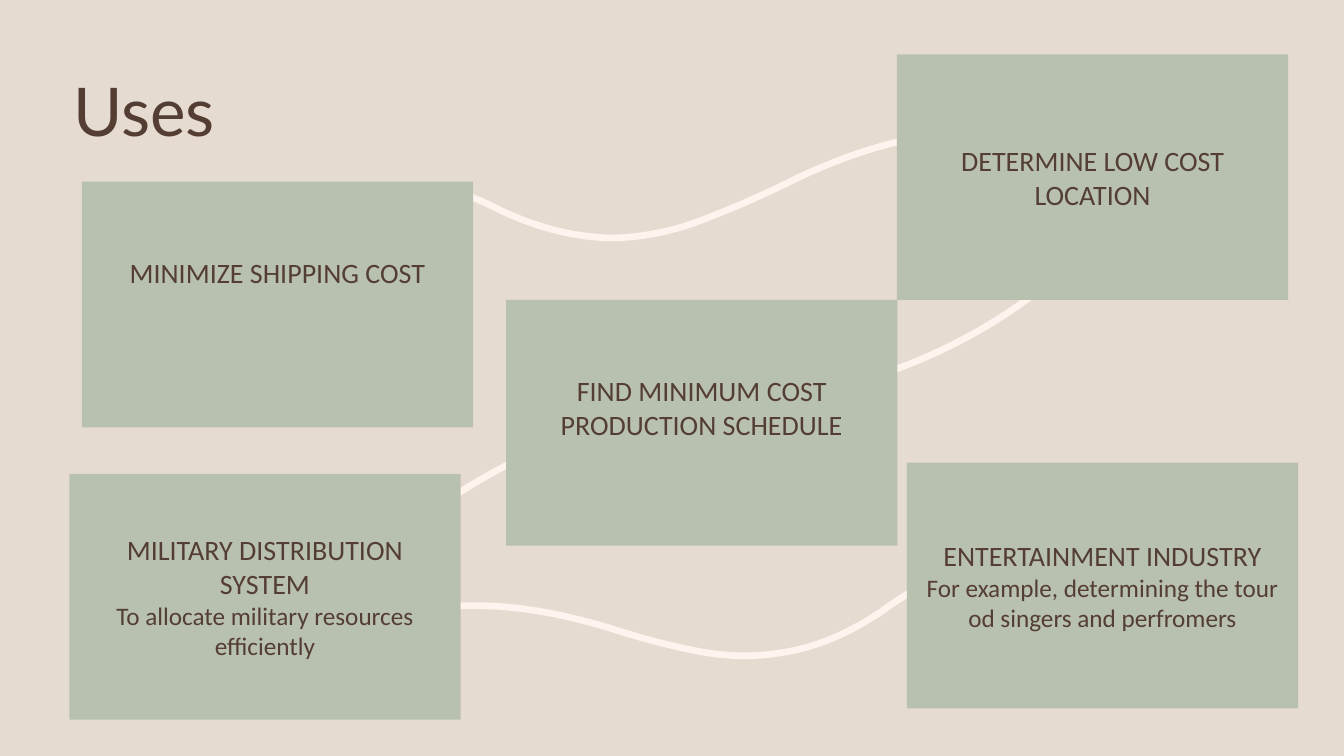
from pptx import Presentation
from pptx.dml.color import RGBColor
from pptx.enum import shapes, text
from pptx.util import Pt

SAND = RGBColor(0xE6, 0xDB, 0xD0)
SAGE = RGBColor(0xB8, 0xC0, 0xB0)
CREAM = RGBColor(0xFE, 0xF3, 0xED)
BROWN = RGBColor(0x54, 0x3E, 0x34)

TITLE = "Uses"
CARD_WIDTH, CARD_HEIGHT = 279.5, 175.5
USES = [
    {"left": 58.5, "top": 129.75, "heading": "MINIMIZE SHIPPING COST", "lift": 46},
    {"left": 640.75, "top": 38.75, "heading": "DETERMINE LOW COST LOCATION"},
    {"left": 361.5, "top": 214.25, "heading": "FIND MINIMUM COST PRODUCTION SCHEDULE", "lift": 22},
    {"left": 49.5, "top": 338.5, "heading": "MILITARY DISTRIBUTION SYSTEM",
     "detail": "To allocate military resources efficiently"},
    {"left": 647.75, "top": 330.5, "heading": "ENTERTAINMENT INDUSTRY",
     "detail": "For example, determining the tour od singers and perfromers"},
]
WAVES = [
    [(600, 276), (657.5, 261.5), (709, 235.5), (754, 198)],
    [(420.5, 308), (366.5, 325.5), (320.5, 353), (280, 388)],
    [(221, 160.5), (252, 134.5), (286.5, 127.5), (323.5, 137),
     (335.5, 139.5), (346.5, 144.5), (358, 150.5),
     (381.5, 161.5), (407, 169), (435, 170),
     (458.5, 170), (482.5, 165), (504.5, 156),
     (530.5, 146), (545, 139), (560, 132),
     (577, 123), (677, 74), (739.5, 105)],
    [(662.5, 417), (651, 422), (641.5, 428.5), (631.5, 435.5),
     (610.5, 450), (587, 461.5), (560, 466),
     (537, 470), (514, 469), (490.5, 463.5),
     (464.5, 458), (449.5, 453), (433.5, 448),
     (416, 443), (312.5, 410.5), (250, 458)],
]
STEPS = 16


def curve_points(controls):
    points = [controls[0]]
    for first in range(0, len(controls) - 1, 3):
        bend = controls[first:first + 4]
        for step in range(1, STEPS + 1):
            t = step / STEPS
            weights = ((1 - t) ** 3, 3 * t * (1 - t) ** 2, 3 * t * t * (1 - t), t ** 3)
            points.append(tuple(sum(w * p[axis] for w, p in zip(weights, bend))
                                for axis in (0, 1)))
    return [(Pt(x), Pt(y)) for x, y in points]


def write(shape, lines, font="Calibri", align=text.PP_ALIGN.CENTER, spacing=1.0, lift=0):
    frame = shape.text_frame
    frame.word_wrap = True
    frame.vertical_anchor = text.MSO_ANCHOR.MIDDLE
    frame.margin_left = frame.margin_right = Pt(7.2)
    frame.margin_top, frame.margin_bottom = Pt(3.6), Pt(3.6 + lift)
    for index, (words, size) in enumerate(lines):
        paragraph = frame.add_paragraph() if index else frame.paragraphs[0]
        paragraph.alignment = align
        paragraph.line_spacing = spacing
        run = paragraph.add_run()
        run.text = words
        run.font.name, run.font.size = font, Pt(size)
        run.font.color.rgb = BROWN


def main():
    deck = Presentation()
    deck.slide_width, deck.slide_height = Pt(960), Pt(540)
    slide = deck.slides.add_slide(deck.slide_layouts[6])
    slide.background.fill.solid()
    slide.background.fill.fore_color.rgb = SAND

    for controls in WAVES:
        start, *rest = curve_points(controls)
        builder = slide.shapes.build_freeform(*start)
        builder.add_line_segments(rest, close=False)
        wave = builder.convert_to_shape()
        wave.shadow.inherit = False
        wave.fill.background()
        wave.line.color.rgb = CREAM
        wave.line.width = Pt(4.75)

    heading = slide.shapes.add_textbox(Pt(45.5), Pt(55.5), Pt(720), Pt(53.5))
    write(heading, [(TITLE, 48)], font="Lato", align=text.PP_ALIGN.LEFT, spacing=0.9)

    for use in USES:
        card = slide.shapes.add_shape(shapes.MSO_SHAPE.RECTANGLE, Pt(use["left"]),
                                      Pt(use["top"]), Pt(CARD_WIDTH), Pt(CARD_HEIGHT))
        card.shadow.inherit = False
        card.fill.solid()
        card.fill.fore_color.rgb = SAGE
        card.line.fill.background()
        lines = [(use["heading"], 20)]
        if "detail" in use:
            lines.append((use["detail"], 18))
        write(card, lines, lift=use.get("lift", 0))

    deck.save("out.pptx")


if __name__ == "__main__":
    main()
